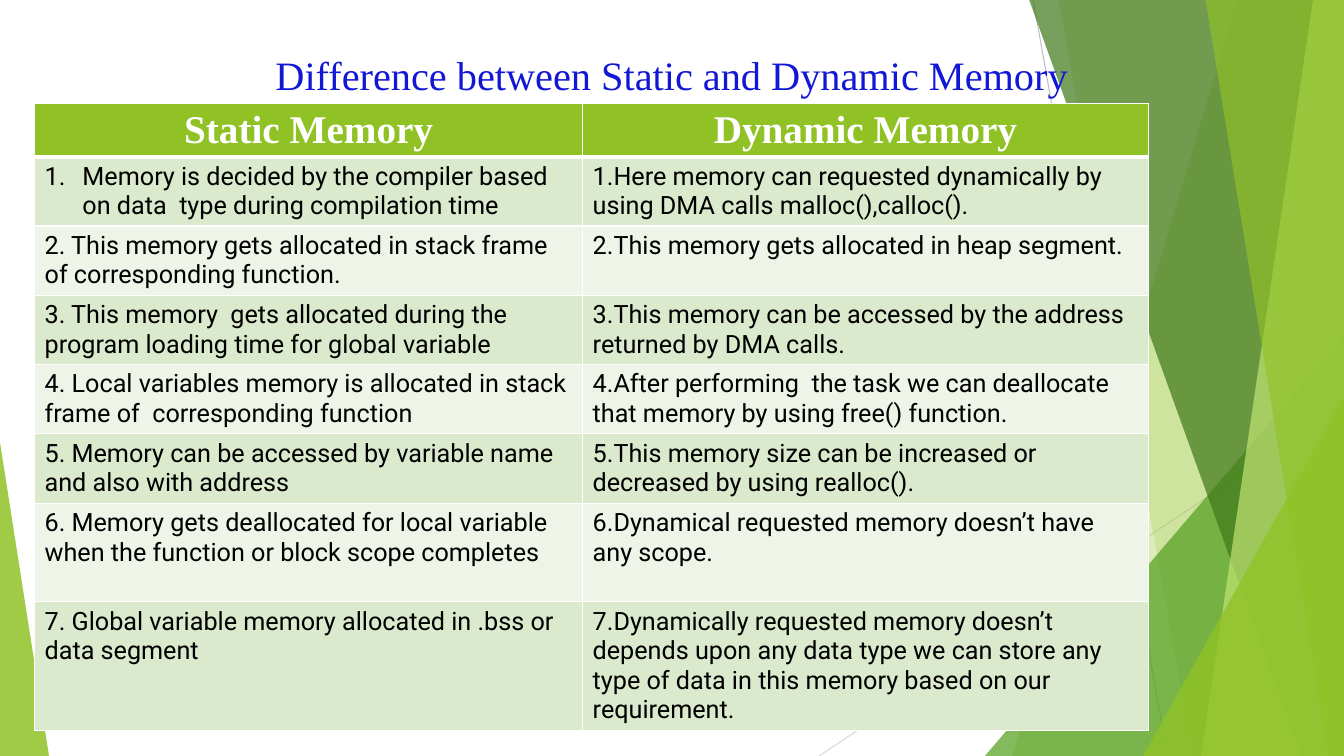
from lxml import etree
from pptx import Presentation
from pptx.dml.color import RGBColor
from pptx.enum import shapes, text
from pptx.oxml import ns
from pptx.util import Pt

WIDTH, HEIGHT = 960, 540
COLORS = {
    "blue": "1217D6", "white": "FFFFFF", "black": "000000",
    "lime": "90C226", "green": "54A021", "forest": "3F7819", "pale": "C0E474",
    "odd": "DBE9CD", "even": "EEF4E8", "gray": "BFBFBF", "light": "D9D9D9",
}
TITLE = "Difference between Static and Dynamic Memory"
HEADINGS = ("Static Memory", "Dynamic Memory")
DIFFERENCES = [
    ("Memory is decided by the compiler based on data  type during compilation time",
     "1.Here memory can requested dynamically by using DMA calls malloc(),calloc()."),
    ("2. This memory gets allocated in stack frame of corresponding function.",
     "2.This memory gets allocated in heap segment."),
    ("3. This memory  gets allocated during the program loading time for global variable",
     "3.This memory can be accessed by the address returned by DMA calls."),
    ("4. Local variables memory is allocated in stack frame of  corresponding function",
     "4.After performing  the task we can deallocate that memory by using free() function."),
    ("5. Memory can be accessed by variable name and also with address",
     "5.This memory size can be increased or decreased by using realloc()."),
    ("6. Memory gets deallocated for local variable when the function or block scope completes",
     "6.Dynamical requested memory doesn’t have any scope."),
    ("7. Global variable memory allocated in .bss or data segment",
     "7.Dynamically requested memory doesn’t depends upon any data type we can store any "
     "type of data in this memory based on our requirement."),
]
COLUMN_WIDTHS = (391.5, 404)
ROW_HEIGHTS = (38, *[49.5] * 5, 70.5, 91.5)

# Start x, start y, end x, end y, color
LINES = [(738, 0, 834, HEIGHT, "gray"), (WIDTH, 290, 585, HEIGHT, "light")]
# Back to front: a wedge has its left edge's top x and bottom x,
# a triangle has left, top, width, height and apex position
FACETS = [
    ((884, 723), "lime", 30),
    ((756, 852), "lime", 20),
    ((703.5, 240, 256.5, 300, 1), "green", 72),
    ((735, 929.5), "forest", 70),
    ((938, 858), "pale", 70),
    ((861, 949), "lime", 65),
    ((816.5, 283, 143.5, 257, 1), "lime", 80),
    ((0, 316, 35, 224, 0), "lime", 85),
]


def color(name):
    return RGBColor.from_string(COLORS[name])


def add_line(page, x1, y1, x2, y2, shade):
    line = page.shapes.add_connector(
        shapes.MSO_CONNECTOR.STRAIGHT, Pt(x1), Pt(y1), Pt(x2), Pt(y2))
    line.line.color.rgb = color(shade)
    line.line.width = Pt(0.75)
    etree.SubElement(line._element.spPr, ns.qn("a:effectLst"))


def add_facet(page, geometry, shade, opacity):
    if len(geometry) == 2:
        top_x, bottom_x = geometry
        builder = page.shapes.build_freeform(Pt(top_x), Pt(-0.6))
        builder.add_line_segments(
            [(Pt(x), Pt(y)) for x, y in
             ((WIDTH, -0.6), (WIDTH, HEIGHT), (bottom_x, HEIGHT))])
        facet = builder.convert_to_shape()
    else:
        *frame, apex = geometry
        facet = page.shapes.add_shape(
            shapes.MSO_SHAPE.ISOSCELES_TRIANGLE, *map(Pt, frame))
        facet.adjustments[0] = apex
    facet.shadow.inherit = False
    facet.line.fill.background()
    facet.fill.solid()
    facet.fill.fore_color.rgb = color(shade)
    fill_color = facet._element.spPr.find(f".//{ns.qn('a:srgbClr')}")
    etree.SubElement(fill_color, ns.qn("a:alpha"), val=str(opacity * 1000))


def write(para, words, shade, **font):
    span = para.add_run()
    span.text = words
    span.font.color.rgb = color(shade)
    for key, value in font.items():
        setattr(span.font, key, value)


def add_title(page):
    title = page.shapes.title
    page.shapes._spTree.append(title._element)  # in front of the facets
    frame = {"left": 66, "top": 28.8, "width": 828, "height": 37.5}
    for key, value in frame.items():
        setattr(title, key, Pt(value))
    box = title.text_frame
    form = {"margin_top": Pt(7), "margin_bottom": 0, "word_wrap": True,
            "auto_size": text.MSO_AUTO_SIZE.NONE,
            "vertical_anchor": text.MSO_ANCHOR.TOP}
    for key, value in form.items():
        setattr(box, key, value)
    para = box.paragraphs[0]
    para.alignment = text.PP_ALIGN.CENTER
    write(para, TITLE, "blue", name="Times New Roman", size=Pt(28.8))


def set_borders(cell, widths):
    """Draw white borders; widths maps a side letter to points."""
    for side, width in widths.items():
        border = etree.SubElement(
            cell._tc.get_or_add_tcPr(), ns.qn(f"a:ln{side}"), w=str(Pt(width)))
        fill = etree.SubElement(border, ns.qn("a:solidFill"))
        etree.SubElement(fill, ns.qn("a:srgbClr"), val=COLORS["white"])


def set_numbered(para):
    props = para._p.get_or_add_pPr()
    props.set("marL", str(Pt(27)))
    props.set("indent", str(-Pt(27)))
    etree.SubElement(props, ns.qn("a:buFont"), typeface="+mj-lt")
    etree.SubElement(props, ns.qn("a:buAutoNum"), type="arabicPeriod")


def add_comparison(page):
    rows = [HEADINGS, *DIFFERENCES]
    table = page.shapes.add_table(
        len(rows), len(HEADINGS), Pt(24.7), Pt(73.7),
        Pt(sum(COLUMN_WIDTHS)), Pt(sum(ROW_HEIGHTS))).table
    for column, width in zip(table.columns, COLUMN_WIDTHS):
        column.width = Pt(width)
    for r, (row, height) in enumerate(zip(rows, ROW_HEIGHTS)):
        table.rows[r].height = Pt(height)
        for c, words in enumerate(row):
            cell = table.cell(r, c)
            set_borders(cell, {"L": 1, "R": 1, "T": 3 if r == 1 else 1,
                               "B": 3 if r == 0 else 1})
            cell.fill.solid()
            cell.fill.fore_color.rgb = color(
                "lime" if r == 0 else "odd" if r % 2 else "even")
            para = cell.text_frame.paragraphs[0]
            if r == 0:
                para.alignment = text.PP_ALIGN.CENTER
                write(para, words, "white", name="Times New Roman",
                      size=Pt(28), bold=True)
            else:
                write(para, words, "black", name="Roboto", size=Pt(18), bold=False)
    set_numbered(table.cell(1, 0).text_frame.paragraphs[0])


def main():
    deck = Presentation()
    deck.slide_width, deck.slide_height = Pt(WIDTH), Pt(HEIGHT)
    page = deck.slides.add_slide(deck.slide_layouts.get_by_name("Title Only"))
    for line in LINES:
        add_line(page, *line)
    for facet in FACETS:
        add_facet(page, *facet)
    add_title(page)
    add_comparison(page)
    deck.save("out.pptx")


if __name__ == "__main__":
    main()
